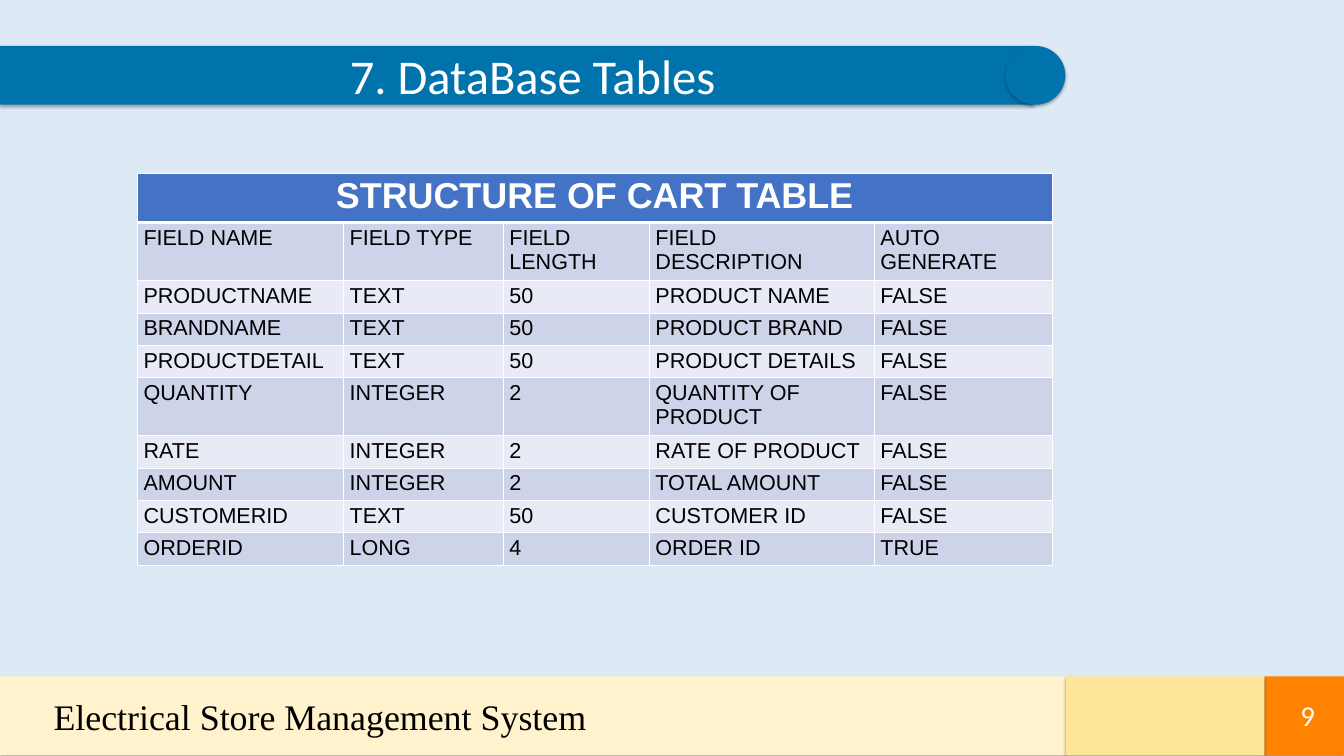
from dataclasses import dataclass

import pptx
import pptx.dml.color
import pptx.enum.shapes
import pptx.enum.text
import pptx.oxml
import pptx.oxml.ns
import pptx.util
from pptx.util import Inches

Align = pptx.enum.text.PP_ALIGN
Anchor = pptx.enum.text.MSO_ANCHOR
Preset = pptx.enum.shapes.MSO_SHAPE

COLORS = {
    "background": "DDEAF6", "title": "0073AC", "header": "4472C4",
    "band_dark": "CDD4EA", "band_light": "E8EBF5", "white": "FFFFFF",
    "black": "000000", "cream": "FFF2CC", "yellow": "FEE599", "orange": "FF8200",
}
NAMESPACE = pptx.oxml.ns.nsdecls("a")
FOOTER_TOP, FOOTER_HEIGHT = 10.46, 1.22


@dataclass
class Block:
    left: float
    top: float
    width: float
    height: float
    color: str
    preset: Preset = Preset.RECTANGLE


@dataclass
class TextStyle:
    font: str
    size: float
    color: str
    align: Align = Align.LEFT
    bold: bool = False


@dataclass
class Label:
    left: float
    top: float
    width: float
    height: float
    text: str
    style: TextStyle
    anchor: Anchor = Anchor.TOP
    auto_size: pptx.enum.text.MSO_AUTO_SIZE = pptx.enum.text.MSO_AUTO_SIZE.NONE


TITLE_BAR = Block(0, 0.71, 15.98, 0.91, "title")
TITLE_CAP = Block(15.55, 0.71, 0.93, 0.91, "title", Preset.OVAL)
FOOTER_BLOCKS = [
    Block(left, FOOTER_TOP, width, FOOTER_HEIGHT, color)
    for left, width, color in [(0, 16.48, "cream"), (19.56, 1.23, "orange"), (16.48, 3.08, "yellow")]
]
TITLE_STYLE = TextStyle("Calibri", 54, "white", Align.CENTER)
HEADER_STYLE = TextStyle("Arial", 40, "white", Align.CENTER, True)
CELL_STYLE = TextStyle("Arial", 24, "black")
LABELS = [
    Label(0.73, 10.69, 12.33, 0.77, "Electrical Store Management System",
          TextStyle("Times New Roman", 40, "black"),
          auto_size=pptx.enum.text.MSO_AUTO_SIZE.SHAPE_TO_FIT_TEXT),
    Label(19.81, 10.84, 0.63, 0.42, "9",
          TextStyle("Calibri", 32, "white", Align.RIGHT), Anchor.MIDDLE),
]

TABLE_TITLE = "STRUCTURE OF CART TABLE"
COLUMN_WIDTHS = [3.19, 2.47, 2.26, 3.48, 2.76]
TITLE_ROW, SINGLE_ROW, DOUBLE_ROW = 0.76, 0.5, 0.9
TWO_LINE_FIELDS = {"FIELD NAME", "QUANTITY"}
FIELDS = [
    ("FIELD NAME", "FIELD TYPE", "FIELD LENGTH", "FIELD DESCRIPTION", "AUTO GENERATE"),
    ("PRODUCTNAME", "TEXT", "50", "PRODUCT NAME", "FALSE"),
    ("BRANDNAME", "TEXT", "50", "PRODUCT BRAND", "FALSE"),
    ("PRODUCTDETAIL", "TEXT", "50", "PRODUCT DETAILS", "FALSE"),
    ("QUANTITY", "INTEGER", "2", "QUANTITY OF PRODUCT", "FALSE"),
    ("RATE", "INTEGER", "2", "RATE OF PRODUCT", "FALSE"),
    ("AMOUNT", "INTEGER", "2", "TOTAL AMOUNT", "FALSE"),
    ("CUSTOMERID", "TEXT", "50", "CUSTOMER ID", "FALSE"),
    ("ORDERID", "LONG", "4", "ORDER ID", "TRUE"),
]


def rgb(name: str) -> pptx.dml.color.RGBColor:
    return pptx.dml.color.RGBColor.from_string(COLORS[name])


def write(text_frame, text: str, style: TextStyle):
    paragraph = text_frame.paragraphs[0]
    paragraph.alignment = style.align
    run = paragraph.add_run()
    run.text = text
    run.font.name = style.font
    run.font.size = pptx.util.Pt(style.size)
    run.font.bold = style.bold
    run.font.color.rgb = rgb(style.color)
    return paragraph


def add_block(group, block: Block):
    shape = group.shapes.add_shape(block.preset, Inches(block.left), Inches(block.top),
                                   Inches(block.width), Inches(block.height))
    shape.fill.solid()
    shape.fill.fore_color.rgb = rgb(block.color)
    shape.line.fill.background()
    # Soft shadow straight below the block
    shape._element.spPr.append(pptx.oxml.parse_xml(
        f'<a:effectLst {NAMESPACE}><a:outerShdw blurRad="{pptx.util.Pt(3.5)}" '
        f'dist="{pptx.util.Pt(2.2)}" dir="5400000" algn="t" rotWithShape="0">'
        f'<a:srgbClr val="{COLORS["black"]}"><a:alpha val="32000"/></a:srgbClr>'
        '</a:outerShdw></a:effectLst>'))
    return shape


def add_title(slide) -> None:
    group = slide.shapes.add_group_shape()
    text_frame = add_block(group, TITLE_BAR).text_frame
    add_block(group, TITLE_CAP)
    text_frame.margin_left = text_frame.margin_right = 0
    text_frame.margin_top = text_frame.margin_bottom = 0
    text_frame.vertical_anchor = Anchor.TOP
    paragraph = write(text_frame, "7. DataBase Tables", TITLE_STYLE)
    paragraph.level = 1
    properties = paragraph._p.get_or_add_pPr()
    properties.set("marL", str(Inches(0.5)))
    properties.set("indent", "0")


def style_cell(cell, color: str, top: float, bottom: float) -> None:
    properties = cell._tc.get_or_add_tcPr()
    for side, width in (("L", 1), ("R", 1), ("T", top), ("B", bottom)):
        properties.append(pptx.oxml.parse_xml(
            f'<a:ln{side} {NAMESPACE} w="{pptx.util.Pt(width)}"><a:solidFill>'
            f'<a:srgbClr val="{COLORS["white"]}"/></a:solidFill></a:ln{side}>'))
    cell.fill.solid()
    cell.fill.fore_color.rgb = rgb(color)


def add_field_table(slide) -> None:
    heights = [TITLE_ROW] + [DOUBLE_ROW if field[0] in TWO_LINE_FIELDS else SINGLE_ROW
                             for field in FIELDS]
    table = slide.shapes.add_table(len(heights), len(COLUMN_WIDTHS), Inches(2.12), Inches(2.68),
                                   Inches(sum(COLUMN_WIDTHS)), Inches(sum(heights))).table
    table.horz_banding = False
    for column, width in zip(table.columns, COLUMN_WIDTHS):
        column.width = Inches(width)
    for row, height in zip(table.rows, heights):
        row.height = Inches(height)

    # Title row across all columns
    for cell in table.rows[0].cells:
        style_cell(cell, "header", 1, 3)
    table.cell(0, 0).merge(table.cell(0, len(COLUMN_WIDTHS) - 1))
    write(table.cell(0, 0).text_frame, TABLE_TITLE, HEADER_STYLE)

    # Banded field rows
    for row_index, field in enumerate(FIELDS, start=1):
        band = "band_dark" if row_index % 2 else "band_light"
        for column_index, value in enumerate(field):
            cell = table.cell(row_index, column_index)
            style_cell(cell, band, 3 if row_index == 1 else 1, 1)
            write(cell.text_frame, value, CELL_STYLE)


def add_label(slide, label: Label) -> None:
    text_frame = slide.shapes.add_textbox(Inches(label.left), Inches(label.top),
                                          Inches(label.width), Inches(label.height)).text_frame
    text_frame.word_wrap = True
    text_frame.auto_size = label.auto_size
    text_frame.vertical_anchor = label.anchor
    write(text_frame, label.text, label.style)


def main() -> None:
    presentation = pptx.Presentation()
    presentation.slide_width = Inches(20.79)
    presentation.slide_height = Inches(11.69)
    slide = presentation.slides.add_slide(presentation.slide_layouts[6])
    slide.background.fill.solid()
    slide.background.fill.fore_color.rgb = rgb("background")

    add_title(slide)
    add_field_table(slide)

    # Footer band with its labels
    footer = slide.shapes.add_group_shape()
    for block in FOOTER_BLOCKS:
        add_block(footer, block)
    for label in LABELS:
        add_label(slide, label)

    presentation.save("out.pptx")


if __name__ == "__main__":
    main()
